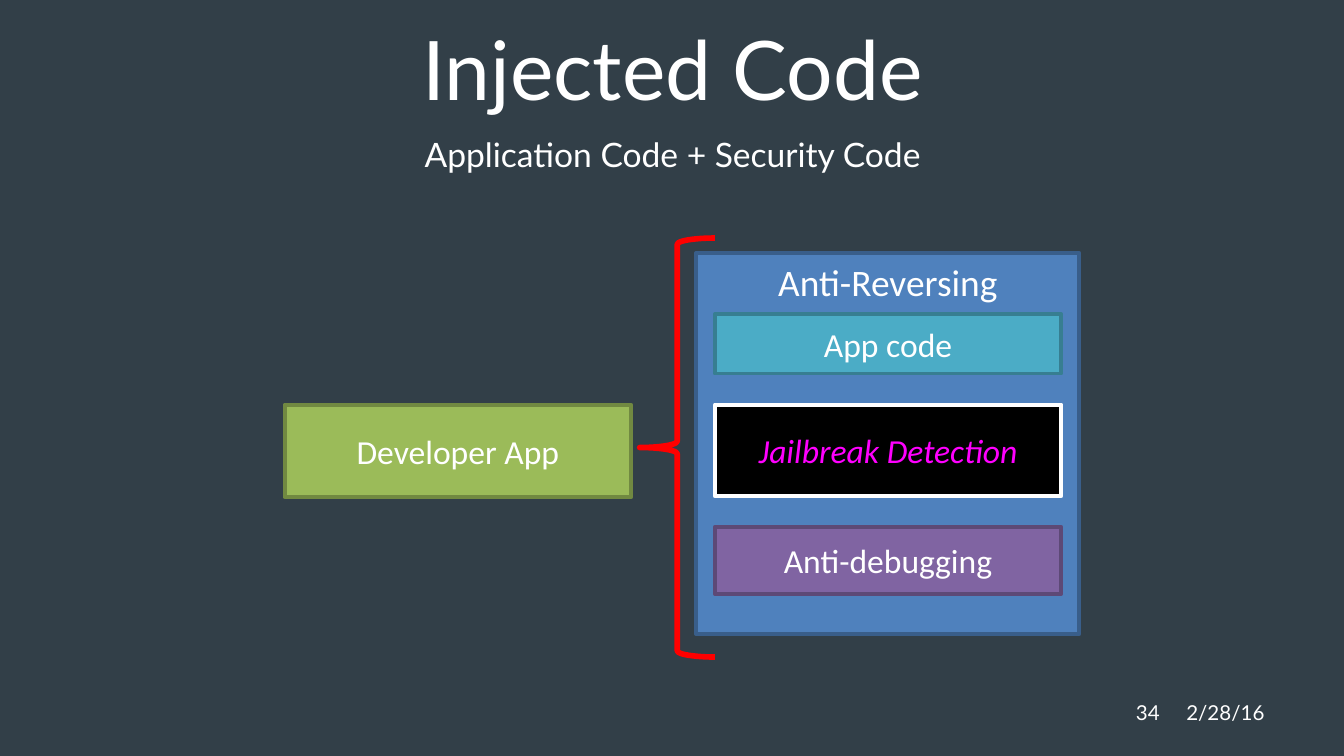
from typing import NamedTuple

from pptx import Presentation
from pptx import util as u
from pptx.dml.color import RGBColor
from pptx.enum import shapes, text

BACKGROUND = RGBColor(0x32, 0x3F, 0x48)
WHITE = RGBColor(0xFF, 0xFF, 0xFF)
BLACK = RGBColor(0x00, 0x00, 0x00)
RED = RGBColor(0xFF, 0x00, 0x00)
MAGENTA = RGBColor(0xFF, 0x00, 0xFF)
BLUE = RGBColor(0x4F, 0x81, 0xBD)
DARK_BLUE = RGBColor(0x39, 0x5E, 0x8A)
GREEN = RGBColor(0x9B, 0xBB, 0x59)
DARK_GREEN = RGBColor(0x71, 0x89, 0x41)
TEAL = RGBColor(0x4B, 0xAC, 0xC6)
DARK_TEAL = RGBColor(0x37, 0x7E, 0x91)
PURPLE = RGBColor(0x80, 0x64, 0xA2)
DARK_PURPLE = RGBColor(0x5D, 0x49, 0x76)

LEFT, CENTER, RIGHT = text.PP_ALIGN.LEFT, text.PP_ALIGN.CENTER, text.PP_ALIGN.RIGHT
TOP, MIDDLE = text.MSO_ANCHOR.TOP, text.MSO_ANCHOR.MIDDLE


class Area(NamedTuple):
    """Left, top, width and height in centimetres."""
    left: float
    top: float
    width: float
    height: float

    def lengths(self) -> list:
        return [u.Cm(value) for value in self]


class Label(NamedTuple):
    words: str
    area: Area
    size: float
    align: text.PP_ALIGN = CENTER
    anchor: text.MSO_ANCHOR = TOP


class Block(NamedTuple):
    words: str
    area: Area
    fill: RGBColor
    border: RGBColor
    size: float = 18
    color: RGBColor = WHITE
    italic: bool = False
    anchor: text.MSO_ANCHOR = MIDDLE


BLOCK_WIDTH = 6.55
MIDDLE_ROW = 7.65
LAYER_LEFT = 13.51
FOOTER_TOP, FOOTER_HEIGHT = 13.08, 0.76

LABELS = [
    Label("Injected Code", Area(3.05, 0.23, 19.33, 1.93), 44),
    Label("Application Code + Security Code", Area(3.05, 2.41, 19.33, 0.99), 18),
    Label("2/28/16", Area(22.17, FOOTER_TOP, 2.36, FOOTER_HEIGHT), 11, LEFT, MIDDLE),
    Label("34", Area(20.65, FOOTER_TOP, 1.52, FOOTER_HEIGHT), 11, RIGHT, MIDDLE),
]
PANEL = Block("Anti-Reversing", Area(13.16, 4.78, 7.24, 7.21), BLUE, DARK_BLUE,
              size=20, anchor=TOP)
DEVELOPER_APP = Block("Developer App", Area(5.38, MIDDLE_ROW, BLOCK_WIDTH, 1.75),
                      GREEN, DARK_GREEN)
LAYERS = [
    Block("App code", Area(LAYER_LEFT, 5.94, BLOCK_WIDTH, 1.12), TEAL, DARK_TEAL),
    Block("Jailbreak Detection", Area(LAYER_LEFT, MIDDLE_ROW, BLOCK_WIDTH, 1.73),
          BLACK, WHITE, color=MAGENTA, italic=True),
    Block("Anti-debugging", Area(LAYER_LEFT, 9.96, BLOCK_WIDTH, 1.27),
          PURPLE, DARK_PURPLE),
]
BRACE_AREA = Area(12.09, 4.5, 1.42, 7.92)


def write(shape, words: str, font: str, size: float, color: RGBColor,
          align: text.PP_ALIGN, anchor: text.MSO_ANCHOR, italic: bool = False) -> None:
    frame = shape.text_frame
    frame.word_wrap = True
    frame.vertical_anchor = anchor
    para = frame.paragraphs[0]
    para.alignment = align
    span = para.add_run()
    span.text = words
    span.font.name = font
    span.font.size = u.Pt(size)
    span.font.color.rgb = color
    if italic:
        span.font.italic = True


def draw_label(page, label: Label) -> None:
    box = page.shapes.add_textbox(*label.area.lengths())
    write(box, label.words, "Lato", label.size, WHITE, label.align, label.anchor)


def draw_block(page, block: Block) -> None:
    box = page.shapes.add_shape(shapes.MSO_SHAPE.RECTANGLE, *block.area.lengths())
    box.shadow.inherit = False
    box.fill.solid()
    box.fill.fore_color.rgb = block.fill
    box.line.color.rgb = block.border
    box.line.width = u.Pt(2)
    write(box, block.words, "Calibri", block.size, block.color, CENTER,
          block.anchor, block.italic)


def draw_brace(page, area: Area) -> None:
    brace = page.shapes.add_shape(shapes.MSO_SHAPE.LEFT_BRACE, *area.lengths())
    brace.shadow.inherit = False
    brace.fill.background()
    brace.line.color.rgb = RED
    brace.line.width = u.Pt(3)


def main() -> None:
    deck = Presentation()
    deck.slide_width, deck.slide_height = u.Cm(25.4), u.Cm(14.29)
    page = deck.slides.add_slide(deck.slide_layouts[6])
    page.background.fill.solid()
    page.background.fill.fore_color.rgb = BACKGROUND

    draw_block(page, PANEL)
    for label in LABELS:
        draw_label(page, label)
    draw_block(page, DEVELOPER_APP)
    draw_brace(page, BRACE_AREA)
    for layer in LAYERS:
        draw_block(page, layer)

    deck.save("out.pptx")


if __name__ == "__main__":
    main()
